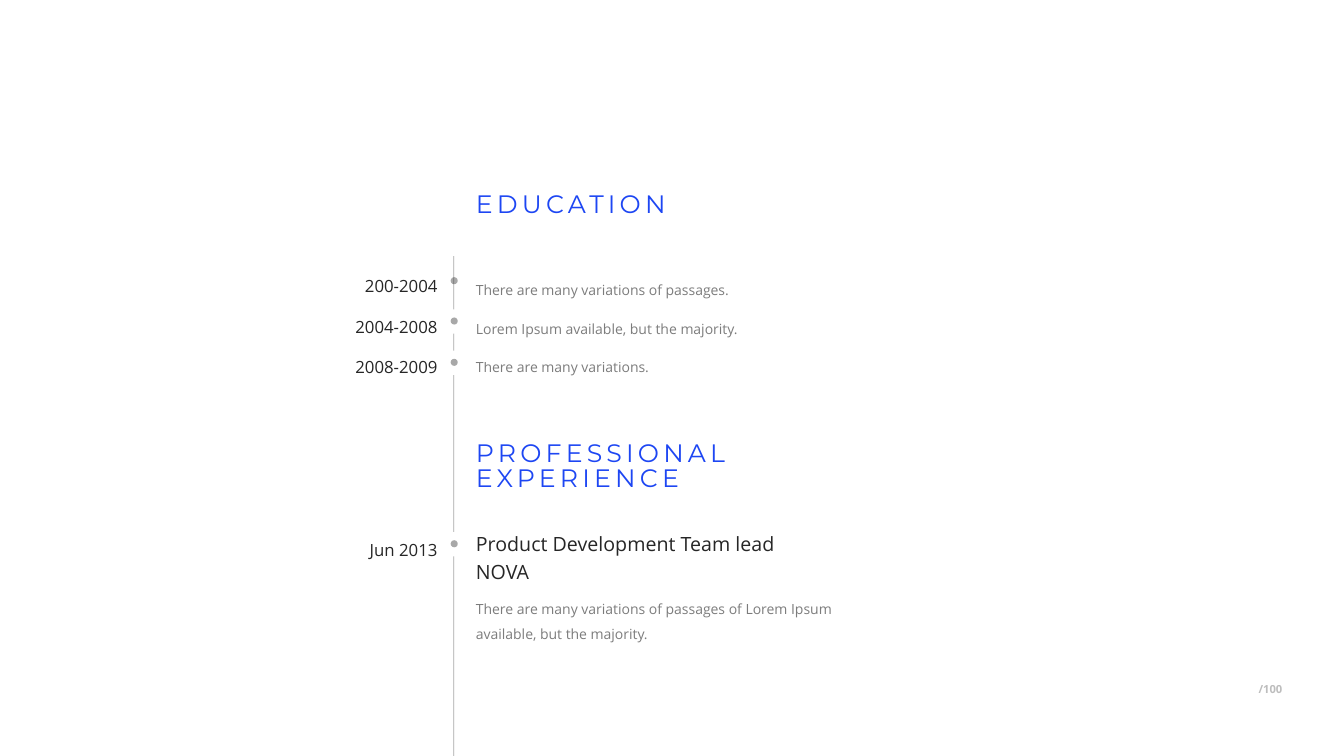
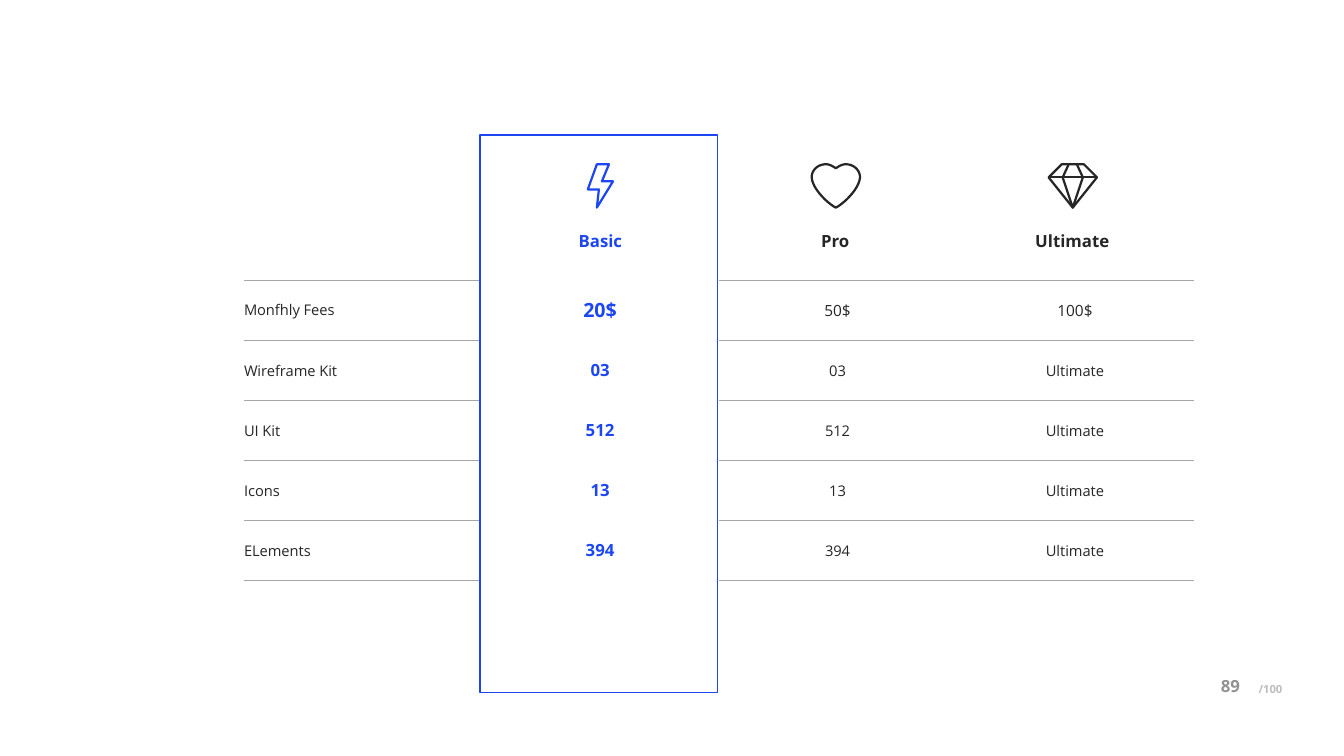
from lxml import etree
from pptx import Presentation
from pptx import util as u
from pptx.dml.color import RGBColor
from pptx.enum import shapes, text
from pptx.oxml.ns import qn

PX = 9144  # 100 px to the inch

INK = RGBColor(0x26, 0x26, 0x26)
BLUE = RGBColor(0x1D, 0x46, 0xF3)
WHITE = RGBColor(0xFF, 0xFF, 0xFF)
RULE = RGBColor(0xA6, 0xA6, 0xA6)

BODY_FONT = "Open Sans"
TITLE_FONT = "Montserrat"
LEFT, CENTER, RIGHT = text.PP_ALIGN.LEFT, text.PP_ALIGN.CENTER, text.PP_ALIGN.RIGHT

AXIS_X = 450
CONTENT_X = 472
DATE_X = 295

PLAN_ROWS = [
    ("Monfhly Fees", "20$", "50$", "100$"),
    ("Wireframe Kit", "03", "03", "Ultimate"),
    ("UI Kit", "512", "512", "Ultimate"),
    ("Icons", "13", "13", "Ultimate"),
    ("ELements", "394", "394", "Ultimate"),
]


def px(*lengths):
    return [u.Emu(round(length * PX)) for length in lengths]


def set_opacity(element, percent):
    """Make every RGB colour inside the element partly transparent."""
    for color in element.iter(qn("a:srgbClr")):
        etree.SubElement(color, qn("a:alpha")).set("val", str(percent * 1000))


def add_run(paragraph, words, size, color=INK, bold=False, font=BODY_FONT,
            opacity=100, tracking=0):
    run = paragraph.add_run()
    run.text = words
    run.font.name = font
    run.font.size = u.Pt(size)
    run.font.bold = bold
    run.font.color.rgb = color
    if tracking:
        run.font._element.set("spc", str(tracking * 100))
    if opacity < 100:
        set_opacity(run.font._element, opacity)


def add_text(slide, box, lines, size, align=LEFT, spacing=None, right_inset=0,
             middle=False, **run_style):
    shape = slide.shapes.add_textbox(*px(*box))
    frame = shape.text_frame
    frame.word_wrap = True
    frame.margin_left = frame.margin_top = frame.margin_bottom = 0
    frame.margin_right = px(right_inset)[0]
    if middle:
        frame.vertical_anchor = text.MSO_ANCHOR.MIDDLE
    else:
        frame.auto_size = text.MSO_AUTO_SIZE.SHAPE_TO_FIT_TEXT
    for index, line in enumerate(lines):
        paragraph = frame.add_paragraph() if index else frame.paragraphs[0]
        paragraph.alignment = align
        if spacing:
            paragraph.line_spacing = spacing
        add_run(paragraph, line, size, **run_style)


def add_heading(slide, top, height, words):
    add_text(slide, (CONTENT_X, top, 403, height), [words], 18, spacing=0.8,
             color=BLUE, font=TITLE_FONT, tracking=3)


def add_description(slide, top, height, lines, spacing):
    add_text(slide, (CONTENT_X, top, 403, height), lines, 10, spacing=spacing,
             right_inset=10, opacity=60)


def add_dates(slide, top, height, dates):
    add_text(slide, (DATE_X, top, 139, height), dates, 12, align=RIGHT, spacing=2)


def add_filled(slide, kind, box, color, opacity=100):
    shape = slide.shapes.add_shape(kind, *px(*box))
    shape.shadow.inherit = False
    shape.fill.solid()
    shape.fill.fore_color.rgb = color
    shape.line.fill.background()
    if opacity < 100:
        set_opacity(shape._element.spPr, opacity)


def add_axis(slide, top, bottom):
    line = slide.shapes.add_connector(shapes.MSO_CONNECTOR.STRAIGHT,
                                      *px(AXIS_X, top, AXIS_X, bottom))
    line.line.color.rgb = INK
    line.line.width = u.Pt(0.5)
    properties = line._element.spPr
    set_opacity(properties, 40)
    etree.SubElement(properties, qn("a:effectLst"))


def add_marker(slide, top, gap=True):
    """Draw a timeline dot, with a white gap in the axis behind it."""
    if gap:
        add_filled(slide, shapes.MSO_SHAPE.RECTANGLE,
                   (AXIS_X - 12, top - 8, 24, 24), WHITE)
    add_filled(slide, shapes.MSO_SHAPE.OVAL, (AXIS_X - 3, top, 7, 7), INK, 40)


def add_page_total(slide):
    add_text(slide, (1216, 671, 56, 25), ["/100"], 8, align=RIGHT, middle=True,
             bold=True, opacity=30)


def add_outline(slide, contours, color):
    """Draw one freeform from (points, closed) contours."""
    builder = None
    for points, closed in contours:
        start, *rest = [px(*point) for point in points]
        if builder is None:
            builder = slide.shapes.build_freeform(*start, scale=1.0)
        else:
            builder.move_to(*start)
        builder.add_line_segments(rest, close=closed)
    shape = builder.convert_to_shape()
    shape.shadow.inherit = False
    shape.fill.background()
    shape.line.color.rgb = color
    shape.line.width = u.Pt(1.6)


def curve(start, control_1, control_2, end, steps=12):
    """Return points along a cubic curve, without its start."""
    points = []
    for step in range(1, steps + 1):
        t = step / steps
        weights = ((1 - t) ** 3, 3 * t * (1 - t) ** 2, 3 * t * t * (1 - t), t ** 3)
        corners = (start, control_1, control_2, end)
        points.append(tuple(sum(weight * corner[axis]
                                for weight, corner in zip(weights, corners))
                            for axis in (0, 1)))
    return points


def add_bolt(slide):
    points = [(592, 163), (604, 163), (597, 180), (608, 180),
              (592, 206), (594, 188), (583, 188)]
    add_outline(slide, [(points, True)], BLUE)


def add_heart(slide):
    middle = 829
    left_half = [(middle, 167)]
    for controls in [((826, 165), (823, 163), (819, 163)),
                     ((811, 163), (805, 169), (805, 176)),
                     ((806, 189), (824, 204), (middle, 206))]:
        left_half += curve(left_half[-1], *controls)
    right_half = [(2 * middle - x, y) for x, y in reversed(left_half[1:-1])]
    add_outline(slide, [(left_half + right_half, True)], INK)


def add_diamond(slide):
    tip = (1064, 206)
    add_outline(slide, [
        ([(1053, 163), (1075, 163), (1088, 176), tip, (1040, 176)], True),
        ([(1040, 176), (1088, 176)], False),
        ([(1060, 163), (1054, 176), tip, (1074, 176), (1068, 163)], False),
    ], INK)


def set_borders(cell, color):
    """Rule the cell above and below, and leave its sides open."""
    properties = cell._tc.get_or_add_tcPr()
    for index, side in enumerate(("lnL", "lnR", "lnT", "lnB")):
        line = etree.Element(qn("a:" + side), w=str(u.Pt(0.5)))
        if side in ("lnL", "lnR"):
            etree.SubElement(line, qn("a:noFill"))
        else:
            fill = etree.SubElement(line, qn("a:solidFill"))
            etree.SubElement(fill, qn("a:srgbClr"), val=str(color))
        properties.insert(index, line)


def add_plan_table(slide):
    frame = slide.shapes.add_table(len(PLAN_ROWS), len(PLAN_ROWS[0]),
                                   *px(242, 278, 942, 298))
    table = frame.table
    table.first_row = table.horz_banding = False
    for row, values in enumerate(PLAN_ROWS):
        for column, value in enumerate(values):
            cell = table.cell(row, column)
            featured = column == 1
            cell.fill.background()
            set_borders(cell, WHITE if featured else RULE)
            cell.vertical_anchor = text.MSO_ANCHOR.MIDDLE
            paragraph = cell.text_frame.paragraphs[0]
            if column == 0:
                cell.margin_left = cell.margin_right = 0
                cell.margin_top = cell.margin_bottom = 0
            else:
                paragraph.alignment = CENTER
            if featured:
                add_run(paragraph, value, 12 if row else 14, BLUE, bold=True)
            else:
                add_run(paragraph, value, 10.5 if row or column == 0 else 11)


def add_plan_name(slide, left, name, color):
    add_text(slide, (left, 225, 147, 23), [name], 12, align=CENTER, spacing=1.2,
             color=color, bold=True)


def add_plan_frame(slide):
    shape = slide.shapes.add_shape(shapes.MSO_SHAPE.RECTANGLE,
                                   *px(476, 134, 236, 553))
    shape.shadow.inherit = False
    shape.fill.background()
    shape.line.color.rgb = BLUE
    shape.line.width = u.Pt(1)


def build_timeline(slide):
    add_page_total(slide)
    add_axis(slide, 254, 750)
    add_marker(slide, 275, gap=False)
    for top in (315, 356, 536):
        add_marker(slide, top)
    add_heading(slide, 193, 26, "EDUCATION")
    add_dates(slide, 254, 162, ["200-2004", "2004-2008", "2008-2009"])
    add_description(slide, 258, 110, [
        "There are many variations of passages.",
        "Lorem Ipsum available, but the majority.",
        "There are many variations.",
    ], 2.29)
    add_heading(slide, 440, 50, "PROFESSIONAL EXPERIENCE")
    add_dates(slide, 515, 35, ["Jun 2013"])
    add_text(slide, (CONTENT_X, 523, 403, 57),
             ["Product Development Team lead", "NOVA"], 14, spacing=1.2)
    add_description(slide, 587, 48, [
        "There are many variations of passages of Lorem Ipsum available, "
        "but the majority."], 1.5)


def build_pricing(slide):
    add_page_total(slide)
    add_text(slide, (1211, 668, 56, 25), ["89"], 12, middle=True, bold=True,
             opacity=50)
    add_plan_table(slide)
    add_bolt(slide)
    add_heart(slide)
    add_diamond(slide)
    add_plan_name(slide, 522, "Basic", BLUE)
    add_plan_name(slide, 755, "Pro", INK)
    add_plan_name(slide, 990, "Ultimate", INK)
    add_plan_frame(slide)


def main():
    presentation = Presentation()
    presentation.slide_width, presentation.slide_height = px(1333, 750)
    blank = presentation.slide_layouts[6]
    for build in (build_timeline, build_pricing):
        build(presentation.slides.add_slide(blank))
    presentation.save("out.pptx")


if __name__ == "__main__":
    main()
